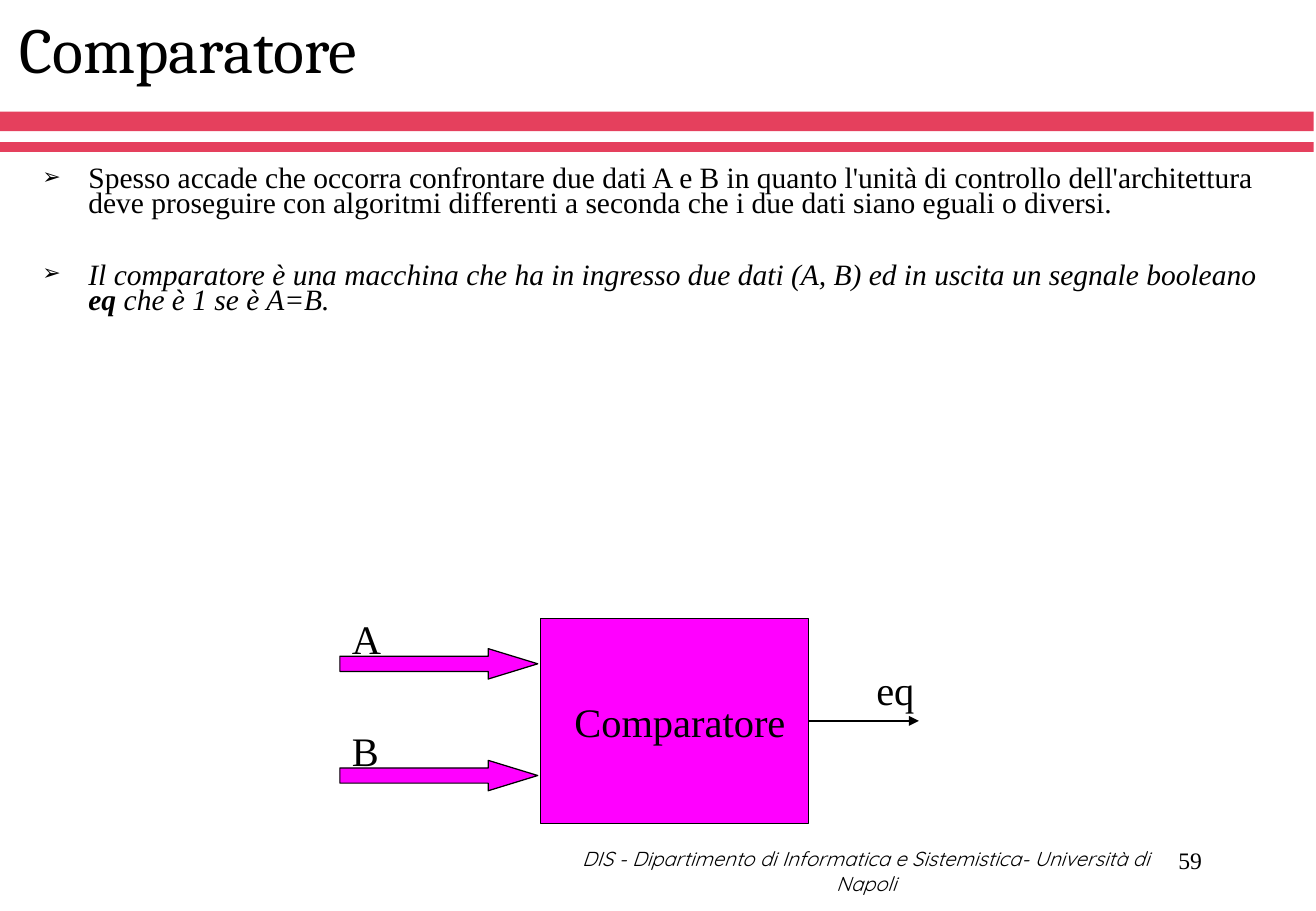
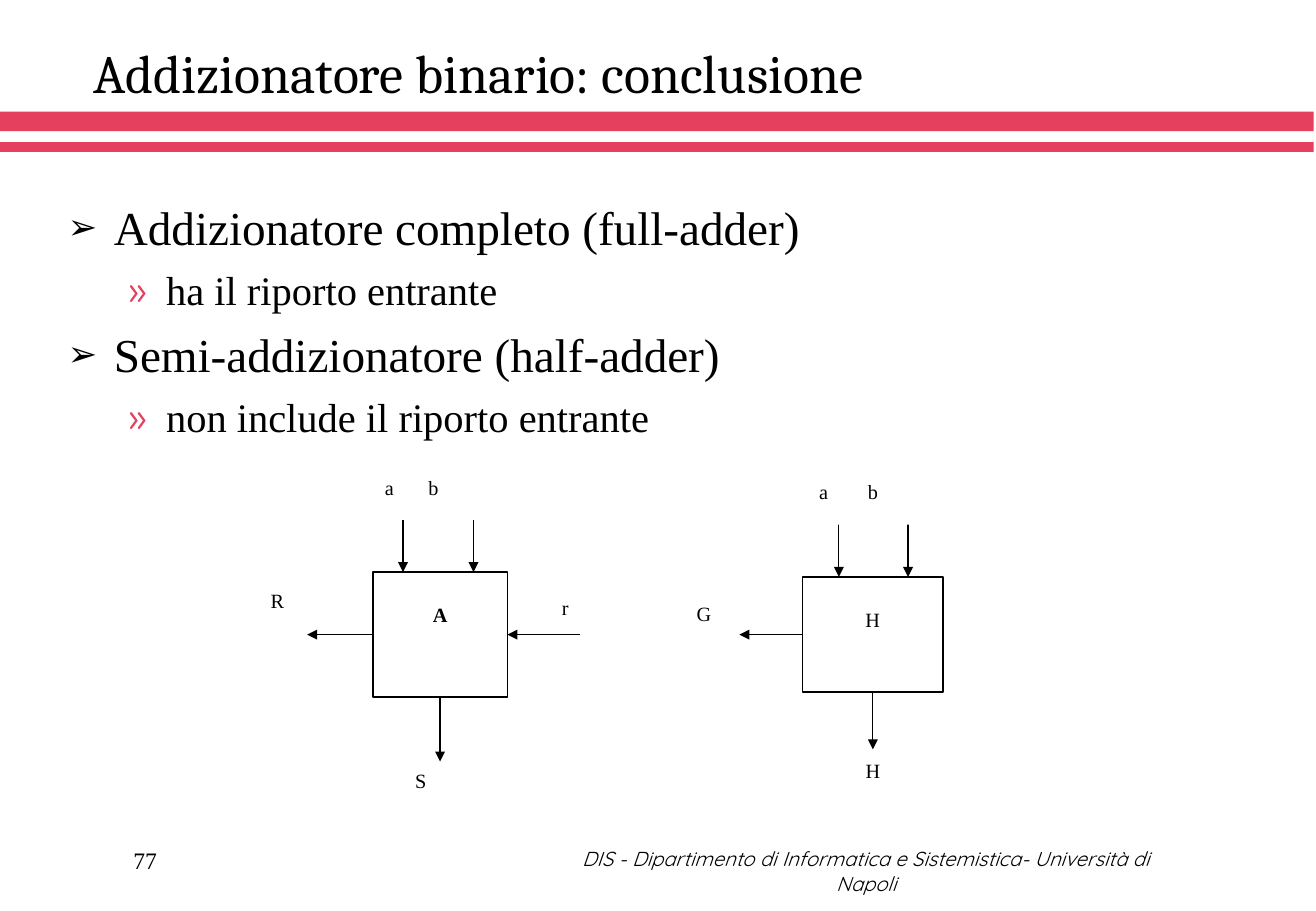
from lxml.etree import SubElement
from pptx import Presentation
from pptx.dml.color import RGBColor
from pptx.enum.shapes import MSO_CONNECTOR, MSO_SHAPE
from pptx.enum.text import MSO_ANCHOR, MSO_AUTO_SIZE, PP_ALIGN
from pptx.oxml.ns import qn
from pptx.util import Emu, Pt

PX = 9144  # one hundredth of an inch
SLIDE_WIDTH, SLIDE_HEIGHT = 1084, 750
COLORS = {"ink": "000000", "band": "E5405D", "block": "FF00FF", "paper": "FFFFFF"}
SERIF, HEADING, FOOTER_FONT = "Times New Roman", "Cambria", "Quicksand"
FOOTER = "DIS - Dipartimento di Informatica e Sistemistica- Università di Napoli"
BANDS = [(92, 16), (117, 8)]
TOP, LEFT, BOTTOM, RIGHT = range(4)
# margin, hanging indent, bullet, bullet colour, bullet size in percent
LEVELS = [(38, 38, "➢", "ink", 75), (81, 31, "»", "band", 100)]


def px(value):
    return Emu(round(value * PX))


def place(box):
    return [px(value) for value in box]


def color(name):
    return RGBColor.from_string(COLORS[name])


def style(span, size, font=SERIF, bold=False, italic=False):
    span.font.size, span.font.name = Pt(size), font
    span.font.bold, span.font.italic = bold, italic
    span.font.color.rgb = color("ink")


def write(frame, text, size, align=PP_ALIGN.LEFT, anchor=MSO_ANCHOR.TOP, **look):
    frame.text = text
    frame.word_wrap = True
    frame.auto_size = MSO_AUTO_SIZE.NONE
    frame.vertical_anchor = anchor
    para = frame.paragraphs[0]
    para.alignment = align
    for span in para.runs:
        style(span, size, **look)


def label(page, box, text, size, **look):
    write(page.shapes.add_textbox(*place(box)).text_frame, text, size, **look)


def block(page, kind, box, fill, line=None):
    shape = page.shapes.add_shape(kind, *place(box))
    shape.shadow.inherit = False
    shape.fill.solid()
    shape.fill.fore_color.rgb = color(fill)
    if line:
        shape.line.color.rgb = color("ink")
        shape.line.width = Pt(line)
    else:
        shape.line.fill.background()
    return shape


def plate(page, box, text, align=PP_ALIGN.LEFT):
    """White rectangle that carries a small label."""
    frame = block(page, MSO_SHAPE.RECTANGLE, box, "paper").text_frame
    write(frame, text, 12, align=align)
    return frame


def arrow(page, start, end, width=0.75, source=None, target=None):
    """Draw an arrow; source and target are (shape, side) pairs."""
    wire = page.shapes.add_connector(MSO_CONNECTOR.STRAIGHT, *place(start + end))
    wire.line.color.rgb = color("ink")
    wire.line.width = Pt(width)
    if source:
        wire.begin_connect(*source)
    if target:
        wire.end_connect(*target)
    SubElement(wire.line._get_or_add_ln(), qn("a:tailEnd"), type="triangle")
    SubElement(wire._element.spPr, qn("a:effectLst"))


def base_page(deck, title, title_box, title_size, number, number_left, number_align):
    """Title, bands, footer and page number."""
    page = deck.slides.add_slide(deck.slide_layouts[5])
    for top, height in BANDS:
        block(page, MSO_SHAPE.RECTANGLE, (0, top, 1082, height), "band")
    label(page, (450, 692, 527, 50), FOOTER, 12, align=PP_ALIGN.CENTER,
          anchor=MSO_ANCHOR.MIDDLE, font=FOOTER_FONT, italic=True)
    label(page, (number_left, 683, 225, 50), number, 14, align=number_align,
          anchor=MSO_ANCHOR.MIDDLE)
    heading = page.shapes.title
    heading.left, heading.top, heading.width, heading.height = place(title_box)
    write(heading.text_frame, title, title_size, anchor=MSO_ANCHOR.BOTTOM, font=HEADING)
    return page


def bullet(para, level):
    margin, hang, mark, tint, percent = LEVELS[level]
    para.level = level
    props = para._p.get_or_add_pPr()
    props.set("marL", str(px(margin)))
    props.set("indent", str(px(-hang)))
    SubElement(SubElement(props, qn("a:buClr")), qn("a:srgbClr"), val=COLORS[tint])
    SubElement(props, qn("a:buSzPct"), val=str(percent * 1000))
    SubElement(props, qn("a:buFont"), typeface=FOOTER_FONT)
    SubElement(props, qn("a:buChar"), char=mark)


def bullets(page, box, items, spacing=1.0):
    """Items are (level, size, space before, [(text, look), ...])."""
    frame = page.shapes.add_textbox(*place(box)).text_frame
    frame.word_wrap = True
    for index, (level, size, before, spans) in enumerate(items):
        para = frame.add_paragraph() if index else frame.paragraphs[0]
        bullet(para, level)
        para.line_spacing = spacing
        para.space_before = Pt(before)
        for text, look in spans:
            span = para.add_run()
            span.text = text
            style(span, size, **look)


def comparator(page, box):
    """Block with two wide input arrows and one output."""
    left, top, width, height = box
    for name, offset in (("A", 25), ("B", 117)):
        label(page, (left - 165, top + offset - 33, 60, 50), name, 24)
        wide = block(page, MSO_SHAPE.RIGHT_ARROW,
                     (left - 165, top + offset, 163, 25), "block", 0.75)
        wide.adjustments[0], wide.adjustments[1] = 0.5, 1.63
    body = block(page, MSO_SHAPE.RECTANGLE, box, "block", 0.75)
    body.text_frame.margin_left = px(19)
    write(body.text_frame, "Comparatore", 24, align=PP_ALIGN.CENTER,
          anchor=MSO_ANCHOR.MIDDLE)
    right, middle = left + width, top + height / 2
    label(page, (right + 46, top + 34, 60, 50), "eq", 24)
    arrow(page, (right, middle), (right + 91, middle), 1, source=(body, RIGHT))


def input_names(page, box, inset, gap):
    """The names a and b, set apart by a tab stop."""
    frame = plate(page, box, "a\tb")
    frame.margin_left = px(inset)
    stops = SubElement(frame.paragraphs[0]._p.get_or_add_pPr(), qn("a:tabLst"))
    SubElement(stops, qn("a:tab"), pos=str(px(gap)), algn="l")


def adder(page, box, name, inputs, reach, names, labels, bold=False, carry_in=False):
    """Block with inputs above, carry at the left and sum below.

    reach holds the arrow lengths (input, carry, sum); names the offset, inset
    and gap of the input names; labels are (text, box relative to the block, align).
    """
    left, top, width, height = box
    right, bottom = left + width, top + height
    center, middle = left + width / 2, top + height / 2
    input_length, carry_length, sum_length = reach
    for text, (dx, dy, label_width, label_height), align in labels:
        plate(page, (left + dx, top + dy, label_width, label_height), text, align)
    body = block(page, MSO_SHAPE.RECTANGLE, box, "paper", 1)
    body.text_frame.margin_top = px(25)
    write(body.text_frame, name, 12, align=PP_ALIGN.CENTER, bold=bold)
    for offset in inputs:
        arrow(page, (left + offset, top - input_length), (left + offset, top))
    arrow(page, (left, middle), (left - carry_length, middle), source=(body, LEFT))
    arrow(page, (center, bottom), (center, bottom + sum_length), source=(body, BOTTOM))
    if carry_in:
        arrow(page, (right + 60, middle), (right, middle), target=(body, RIGHT))
    offset, inset, gap = names
    input_names(page, (left + offset, top - 85, 123, 42), inset, gap)


def comparator_page(deck):
    page = base_page(deck, "Comparatore", (6, 4, 896, 72), 38,
                     "59", 775, PP_ALIGN.RIGHT)
    slanted = {"italic": True}
    bullets(page, (25, 134, 1025, 175), [
        (0, 17.5, 0, [("Spesso accade che occorra confrontare due dati A e B in quanto "
                       "l'unità di controllo dell'architettura deve proseguire con "
                       "algoritmi differenti a seconda che i due dati siano eguali o "
                       "diversi.", {})]),
        (0, 17.5, 28, [("Il comparatore è una macchina che ha in ingresso due dati (A, B) "
                        "ed in uscita un segnale booleano ", slanted),
                       ("eq ", {"italic": True, "bold": True}),
                       ("che è 1 se è A=B.", slanted)]),
    ], spacing=0.7)
    comparator(page, (445, 509, 221, 169))


def adder_page(deck):
    page = base_page(deck, "Addizionatore binario: conclusione", (67, 19, 949, 72), 32,
                     "77", 100, PP_ALIGN.LEFT)
    bullets(page, (46, 158, 973, 508), [
        (0, 28, 0, [("Addizionatore completo (full-adder)", {})]),
        (1, 24, 6, [("ha il riporto entrante", {})]),
        (0, 28, 7, [("Semi-addizionatore (half-adder)", {})]),
        (1, 24, 6, [("non include il riporto entrante", {})]),
    ])
    # Full adder
    adder(page, (307, 471, 111, 103), "A", (25, 83), (52, 54, 53), (-4, 14, 36),
          [("R", (-94, 8, 49, 39), PP_ALIGN.LEFT),
           ("r", (146, 14, 54, 37), PP_ALIGN.LEFT),
           ("S", (25, 157, 55, 44), PP_ALIGN.LEFT)],
          bold=True, carry_in=True)
    # Half adder
    adder(page, (661, 475, 116, 95), "H", (30, 87), (44, 52, 47), (4, 10, 40),
          [("G", (-97, 15, 52, 45), PP_ALIGN.LEFT),
           ("H", (24, 144, 68, 41), PP_ALIGN.CENTER)])


def main():
    deck = Presentation()
    deck.slide_width, deck.slide_height = px(SLIDE_WIDTH), px(SLIDE_HEIGHT)
    comparator_page(deck)
    adder_page(deck)
    deck.save("out.pptx")


if __name__ == "__main__":
    main()
